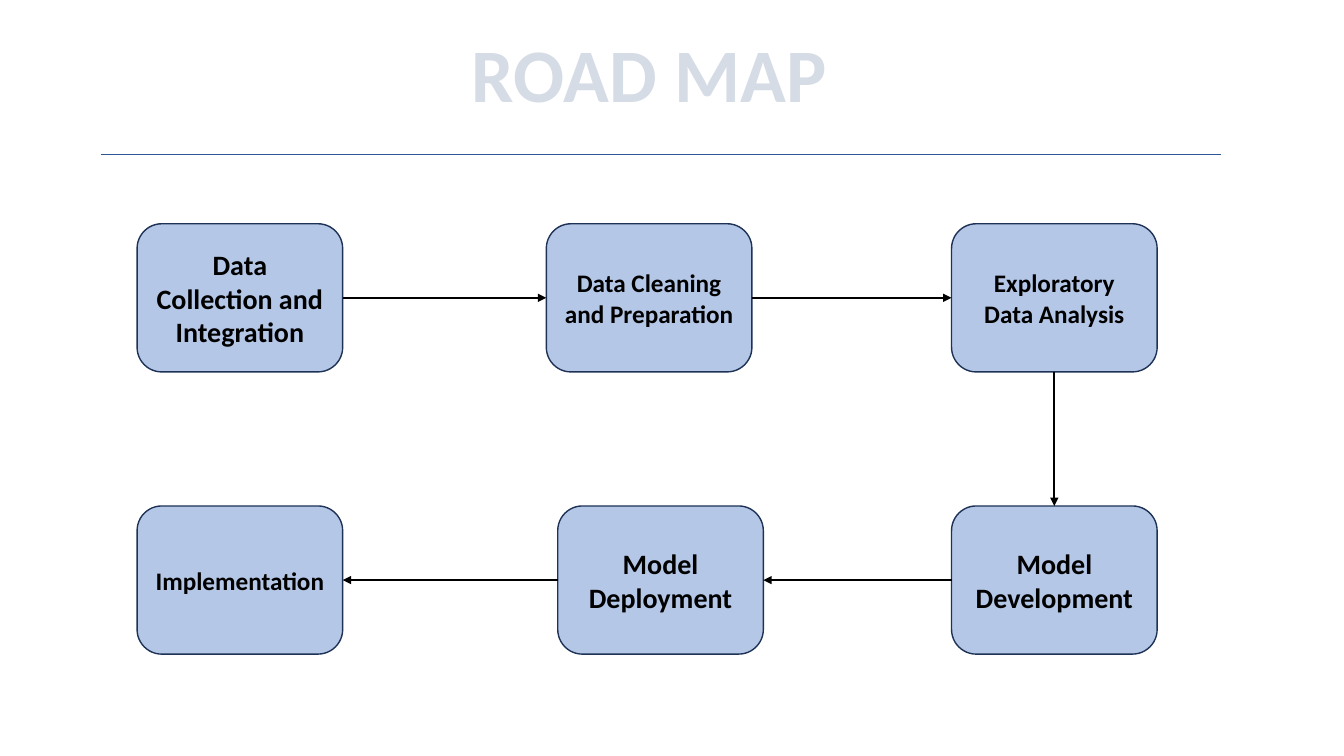
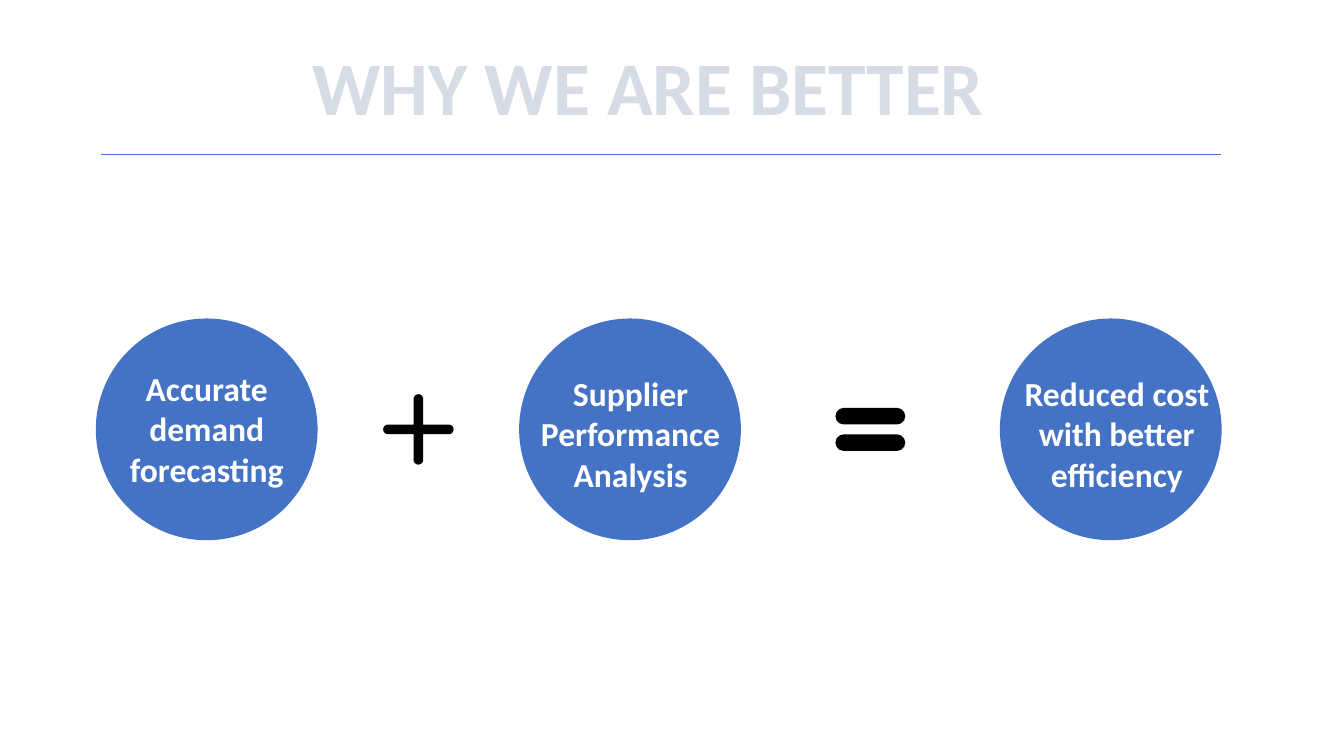
from itertools import pairwise
from math import cos, pi, sin

from lxml.etree import SubElement
from pptx import Presentation
from pptx.dml.color import RGBColor as Rgb
from pptx.enum.shapes import MSO_CONNECTOR as Line, MSO_SHAPE as Preset
from pptx.enum.text import MSO_ANCHOR as Anchor, MSO_AUTO_SIZE as Fit, PP_ALIGN as Align
from pptx.oxml.ns import qn
from pptx.util import Inches, Pt

WIDTH, HEIGHT = Inches(13.333), Inches(7.5)
COLORS = {
    "title": "D6DCE5",
    "rule_dark": "2F5597",
    "accent": "4472C4",
    "step": "B4C7E7",
    "step_edge": "1E3256",
    "black": "000000",
    "white": "FFFFFF",
}
TOP, LEFT, BOTTOM, RIGHT = range(4)
STEP_SIZE = (15.3, 19.6)
UPPER, LOWER = 29.6, 66.93
STEPS = [
    ("Data Collection and Integration", 10.2, UPPER, 20),
    ("Data Cleaning and Preparation", 40.65, UPPER, 18),
    ("Exploratory Data Analysis", 70.8, UPPER, 18),
    ("Model Development", 70.8, LOWER, 20),
    ("Model Deployment", 41.5, LOWER, 20),
    ("Implementation", 10.2, LOWER, 18),
]
JOINTS = [(RIGHT, LEFT)] * 2 + [(BOTTOM, TOP)] + [(LEFT, RIGHT)] * 2
CIRCLE = 16.5
MIDDLE = 56.8
REASONS = [
    ("Accurate demand forecasting", 7.13, 8.18, 48, 14.4),
    ("Supplier Performance Analysis", 38.63, 38.1, 48.67, 17.63),
    ("Reduced cost with better efficiency", 74.4, 75.3, 48.67, 15.6),
]


def col(count):
    return round(WIDTH * count / 100)


def row(count):
    return round(HEIGHT * count / 100)


def color(name):
    return Rgb.from_string(COLORS[name])


def write(box, text, size, ink, **frame_values):
    frame = box.text_frame
    for name, value in frame_values.items():
        setattr(frame, name, value)
    para = frame.paragraphs[0]
    para.alignment = Align.CENTER
    span = para.add_run()
    span.text = text
    for name, value in {"name": "Calibri", "size": Pt(size), "bold": True}.items():
        setattr(span.font, name, value)
    span.font.color.rgb = color(ink)


def add_label(page, text, left, top, width, height, size, ink, wrap=True):
    box = page.shapes.add_textbox(col(left), row(top), col(width), row(height))
    write(box, text, size, ink, word_wrap=wrap, auto_size=Fit.SHAPE_TO_FIT_TEXT)


def paint(shape, fill, edge=None):
    shape.shadow.inherit = False
    shape.fill.solid()
    shape.fill.fore_color.rgb = color(fill)
    if edge:
        shape.line.color.rgb = color(edge)
        shape.line.width = Pt(1)
    else:
        shape.line.fill.background()


def add_line(page, ink, weight, start=(0, 0), end=(0, 0), arrow=False):
    line = page.shapes.add_connector(
        Line.STRAIGHT, col(start[0]), row(start[1]), col(end[0]), row(end[1])
    )
    line.line.color.rgb = color(ink)
    line.line.width = Pt(weight)
    properties = line._element.spPr
    if arrow:
        SubElement(properties.find(qn("a:ln")), qn("a:tailEnd"), type="triangle")
    SubElement(properties, qn("a:effectLst"))
    return line


def add_heading(page, text, left, top, width, rule):
    add_label(page, text, left, top, width, 13.47, 54, "title", wrap=False)
    add_line(page, rule, 0.5, (7.5, 20.4), (90.83, 20.4))


def add_step(page, text, left, top, size):
    width, height = STEP_SIZE
    step = page.shapes.add_shape(
        Preset.ROUNDED_RECTANGLE, col(left), row(top), col(width), row(height)
    )
    paint(step, "step", "step_edge")
    write(step, text, size, "black", word_wrap=True, vertical_anchor=Anchor.MIDDLE)
    return step


def add_circle(page, left):
    side = col(CIRCLE)
    circle = page.shapes.add_shape(
        Preset.OVAL, col(left), row(MIDDLE) - side // 2, side, side
    )
    paint(circle, "accent")


def add_plus(page, center):
    reach, radius, bends = col(2.62), col(0.36), 8
    points = []
    for quarter in range(4):
        turn = quarter * pi / 2
        arm = [
            (reach - radius + radius * cos(angle), radius * sin(angle))
            for angle in (pi * (bend / bends - 0.5) for bend in range(bends + 1))
        ]
        points += [
            (
                col(center) + x * cos(turn) - y * sin(turn),
                row(MIDDLE) + x * sin(turn) + y * cos(turn),
            )
            for x, y in arm + [(radius, radius)]
        ]
    builder = page.shapes.build_freeform(*points[0])
    builder.add_line_segments(points[1:], close=True)
    paint(builder.convert_to_shape(), "black")


def add_equals(page, center):
    width, height = 5.2, 2.2
    group = page.shapes.add_group_shape()
    for offset in (-1.75, 1.75):
        bar = group.shapes.add_shape(
            Preset.ROUNDED_RECTANGLE,
            col(center - width / 2),
            row(MIDDLE + offset - height / 2),
            col(width),
            row(height),
        )
        bar.adjustments[0] = 0.5
        paint(bar, "black")


def build_road_map(page):
    add_heading(page, "ROAD MAP", 34.2, 2.93, 28.2, "rule_dark")
    steps = [add_step(page, *step) for step in STEPS]
    for (source, target), (leave, enter) in zip(pairwise(steps), JOINTS):
        arrow = add_line(page, "black", 1.5, arrow=True)
        arrow.begin_connect(source, leave)
        arrow.end_connect(target, enter)


def build_advantages(page):
    add_heading(page, "WHY WE ARE BETTER", 22.2, 4.67, 52.05, "accent")
    for text, circle_left, left, top, width in REASONS:
        add_circle(page, circle_left)
        add_label(page, text, left, top, width, 17.47, 24, "white")
    add_plus(page, 31.13)
    add_equals(page, 64.76)


def main():
    deck = Presentation()
    deck.slide_width, deck.slide_height = WIDTH, HEIGHT
    for build in (build_road_map, build_advantages):
        build(deck.slides.add_slide(deck.slide_layouts[6]))
    deck.save("out.pptx")


if __name__ == "__main__":
    main()
